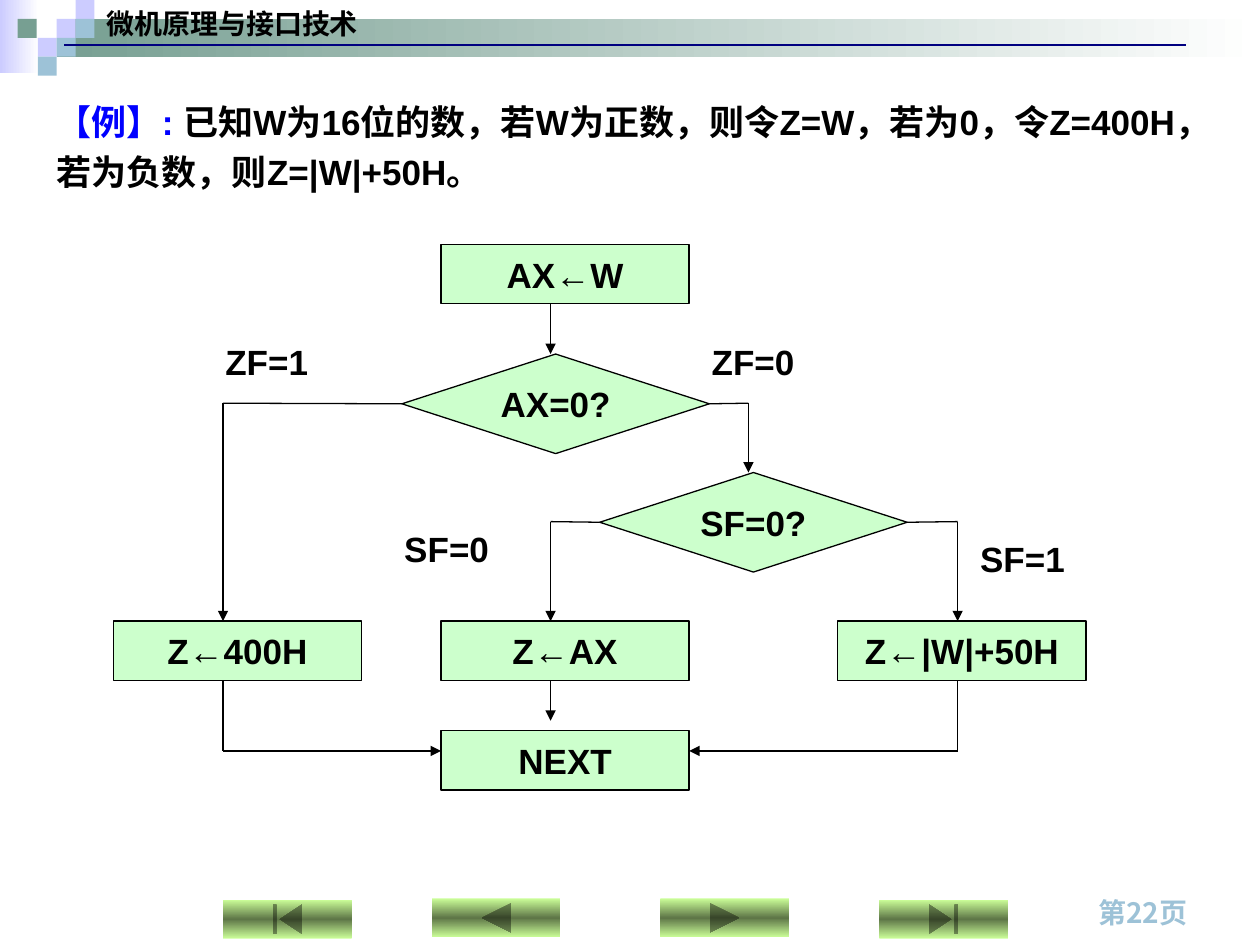
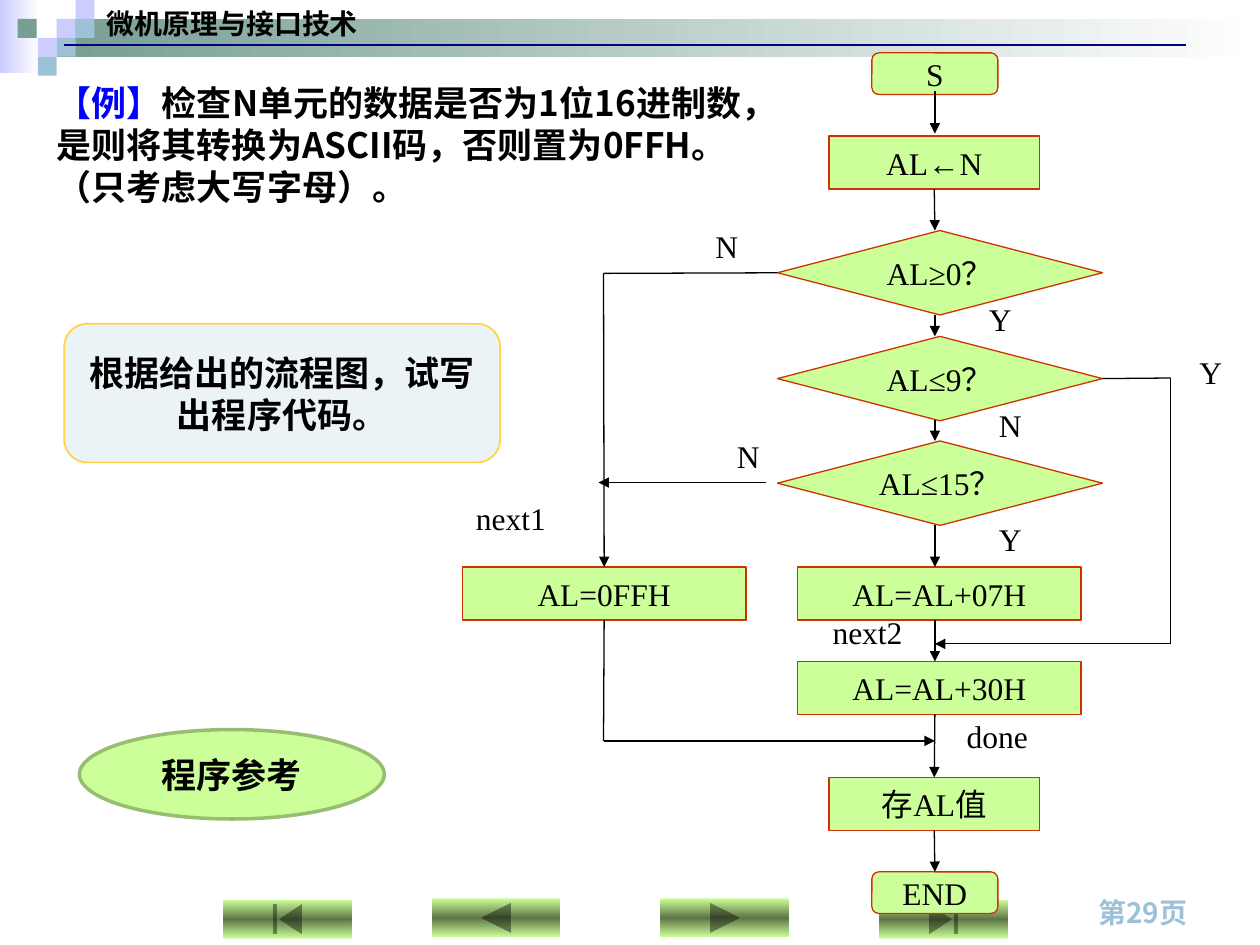
import dataclasses
import typing

import lxml.etree
import pptx
import pptx.dml.color
import pptx.enum.shapes
import pptx.enum.text
import pptx.oxml.ns
import pptx.util

Inches = pptx.util.Inches
qn = pptx.oxml.ns.qn
KIND = pptx.enum.shapes.MSO_SHAPE
ALIGN = pptx.enum.text.PP_ALIGN
ANCHOR = pptx.enum.text.MSO_ANCHOR
Point = tuple[float, float]
Place = tuple[float, float, float, float]


# Theme: colours, fonts and type sizes
@dataclasses.dataclass(frozen=True)
class Theme:
    black: str = "000000"
    white: str = "FFFFFF"
    blue: str = "0000FF"
    navy: str = "000080"
    lilac: str = "CCCCFF"
    sage: str = "779F92"
    sky: str = "9DC2D7"
    mint: str = "CCFFCC"
    lime: str = "CCFF99"
    moss: str = "5E7647"
    leaf: str = "97BD71"
    rust: str = "CC3300"
    pale: str = "EBF3F7"
    gold: str = "FFD247"
    sans: str = "Arial"
    serif: str = "Times New Roman"
    asian: str = "Noto Sans CJK SC"
    head: int = 16
    body: int = 20
    flow: int = 18
    thin: float = 0.75


THEME = Theme()


@dataclasses.dataclass(frozen=True)
class Type:
    font: str
    size: int
    bold: bool = True
    color: str = THEME.black


@dataclasses.dataclass(frozen=True)
class Look:
    fill: str
    line: str
    type: Type
    width: float = THEME.thin
    wrap: bool = False


@dataclasses.dataclass(frozen=True)
class Node:
    text: str
    kind: typing.Any
    place: Place


@dataclasses.dataclass(frozen=True)
class Label:
    text: str
    place: Place
    align: typing.Any = ALIGN.LEFT


@dataclasses.dataclass(frozen=True)
class Route:
    points: tuple[Point, ...]
    arrow: bool = True


BODY = Type(THEME.sans, THEME.body)
NOTE = Type(THEME.asian, THEME.body)
FLOW = Type(THEME.serif, THEME.flow, False)
MINT = Look(THEME.mint, THEME.black, BODY)
LIME = Look(THEME.lime, THEME.rust, FLOW)


# Drawing helpers
def rgb(color: str) -> pptx.dml.color.RGBColor:
    return pptx.dml.color.RGBColor.from_string(color)


def span(place: Place) -> list[int]:
    return [Inches(value) for value in place]


def style(para, kind: Type, align=ALIGN.LEFT) -> None:
    para.alignment = align
    font = para.font
    font.name, font.bold = kind.font, kind.bold
    font.size = pptx.util.Pt(kind.size)
    font.color.rgb = rgb(kind.color)
    props = para._p.pPr.find(qn("a:defRPr"))
    lxml.etree.SubElement(props, qn("a:ea")).set("typeface", THEME.asian)


def add_text(slide, label: Label, kind: Type) -> None:
    frame = slide.shapes.add_textbox(*span(label.place)).text_frame
    frame.word_wrap = True
    frame.text = label.text
    style(frame.paragraphs[0], kind, label.align)


def add_plain(slide, kind, place: Place, fill: str | None = None):
    shape = slide.shapes.add_shape(kind, *span(place))
    shape.shadow.inherit = False
    shape.line.fill.background()
    if fill:
        shape.fill.solid()
        shape.fill.fore_color.rgb = rgb(fill)
    return shape


def blend(shape, colors: list[str], angle: int) -> None:
    shape.fill.gradient()
    shape.fill.gradient_angle = angle
    stops = shape.element.spPr.find(".//" + qn("a:gsLst"))
    for stop in list(stops):
        stops.remove(stop)
    for i, color in enumerate(colors):
        stop = lxml.etree.SubElement(stops, qn("a:gs"))
        stop.set("pos", str(100000 * i // (len(colors) - 1)))
        lxml.etree.SubElement(stop, qn("a:srgbClr")).set("val", color)


def add_node(slide, node: Node, look: Look):
    shape = add_plain(slide, node.kind, node.place, look.fill)
    shape.line.color.rgb = rgb(look.line)
    shape.line.width = pptx.util.Pt(look.width)
    frame = shape.text_frame
    frame.text = node.text
    frame.word_wrap = look.wrap
    frame.vertical_anchor = ANCHOR.MIDDLE
    style(frame.paragraphs[0], look.type, ALIGN.CENTER)
    return shape


def add_line(slide, start: Point, end: Point, color: str = THEME.black,
             width: float = THEME.thin, arrow: bool = False):
    line = slide.shapes.add_connector(
        pptx.enum.shapes.MSO_CONNECTOR.STRAIGHT, *span(start + end))
    line.line.color.rgb = rgb(color)
    line.line.width = pptx.util.Pt(width)
    props = line.element.spPr
    if arrow:
        tail = lxml.etree.SubElement(props.find(qn("a:ln")), qn("a:tailEnd"))
        tail.set("type", "triangle")
    lxml.etree.SubElement(props, qn("a:effectLst"))
    return line


def join(link: typing.Callable, point: Point, nodes, shapes) -> None:
    """Join a line end to the node whose side has its middle there."""
    for node, shape in zip(nodes, shapes):
        x, y, w, h = node.place
        sides = ((x + w / 2, y), (x, y + h / 2),
                 (x + w / 2, y + h), (x + w, y + h / 2))
        for site, (sx, sy) in enumerate(sides):
            if max(abs(sx - point[0]), abs(sy - point[1])) < 0.015:
                link(shape, site)
                return


def add_flow(slide, nodes: list[Node], routes: list[Route],
             labels: list[Label], look: Look) -> None:
    shapes = [add_node(slide, node, look) for node in nodes]
    for route in routes:
        last = len(route.points) - 2
        for i, (start, end) in enumerate(zip(route.points, route.points[1:])):
            line = add_line(slide, start, end, arrow=route.arrow and i == last)
            join(line.begin_connect, start, nodes, shapes)
            join(line.end_connect, end, nodes, shapes)
    for label in labels:
        add_text(slide, label, look.type)


# Shared frame: bands, tiles, header, buttons, page number and title
TILES = [(0.45, 0.15, THEME.lilac), (0.6, 0, THEME.lilac),
         (0.6, 0.15, THEME.sky), (0.3, 0.3, THEME.lilac),
         (0.14, 0.15, THEME.sage), (0.45, 0.3, THEME.sky),
         (0.3, 0.45, THEME.sky)]
KEYS = [(KIND.ACTION_BUTTON_BEGINNING, 1.77, 7.14),
        (KIND.ACTION_BUTTON_BACK_OR_PREVIOUS, 3.43, 7.13),
        (KIND.ACTION_BUTTON_FORWARD_OR_NEXT, 5.24, 7.13),
        (KIND.ACTION_BUTTON_END, 6.98, 7.14)]


def add_frame(deck, page: int, place: Place, lead: str, rest: str,
              kind: Type, pitch: float = 1.0):
    slide = deck.slides.add_slide(deck.slide_layouts[5])
    for spot, color in (((0, 0, 0.31, 0.58), THEME.lilac),
                        ((0.45, 0.15, 9.55, 0.3), THEME.sage)):
        blend(add_plain(slide, KIND.RECTANGLE, spot), [color, THEME.white], 0)
    for x, y, color in TILES:
        add_plain(slide, KIND.RECTANGLE, (x, y, 0.15, 0.15), color)
    add_text(slide, Label(f"第{page}页", (8.62, 7.06, 1.26, 0.37)),
             Type(THEME.asian, THEME.head, color=THEME.sky))
    add_text(slide, Label("微机原理与接口技术", (0.75, 0, 8.66, 0.37)),
             Type(THEME.asian, THEME.head))
    add_line(slide, (0.51, 0.36), (9.41, 0.36), THEME.navy, 1.25)
    for key, x, y in KEYS:
        blend(add_plain(slide, key, (x, y, 1.02, 0.31)),
              [THEME.lime, THEME.moss, THEME.lime], 90)

    title = slide.shapes.title
    title.left, title.top, title.width, title.height = span(place)
    frame = title.text_frame
    frame.auto_size = pptx.enum.text.MSO_AUTO_SIZE.NONE
    frame.word_wrap = True
    frame.vertical_anchor = ANCHOR.TOP
    para = frame.paragraphs[0]
    para.line_spacing = pitch
    style(para, kind)
    for text, color in ((lead, THEME.blue), (rest, THEME.black)):
        run = para.add_run()
        run.text = text
        run.font.color.rgb = rgb(color)
    return slide


# Slide 1: three-way branch on the sign of W
def add_sign(deck) -> None:
    slide = add_frame(
        deck, 22, (0.35, 0.68, 9.53, 0.9), "【例】: ",
        "已知W为16位的数，若W为正数，则令Z=W，若为0，令Z=400H，"
        "若为负数，则Z=|W|+50H。", BODY, 1.2)
    steps = [("AX←W", 3.5, 1.94), ("Z←400H", 0.9, 4.93), ("Z←AX", 3.5, 4.93),
             ("Z←|W|+50H", 6.65, 4.93), ("NEXT", 3.5, 5.8)]
    tests = [("AX=0?", 3.19, 2.81), ("SF=0?", 4.76, 3.75)]
    nodes = [Node(t, KIND.RECTANGLE, (x, y, 1.97, 0.47)) for t, x, y in steps]
    nodes += [Node(t, KIND.DIAMOND, (x, y, 2.44, 0.79)) for t, x, y in tests]
    left, mid, right = 1.77, 4.37, 7.6
    routes = [Route(points) for points in (
        ((mid, 2.41), (mid, 2.81)),
        ((mid, 5.4), (mid, 5.72)),
        ((right, 5.4), (right, 5.96), (5.47, 5.96)),
        ((left, 5.4), (left, 5.96), (3.5, 5.96)),
        ((5.63, 3.2), (5.94, 3.2), (5.94, 3.75)),
        ((7.2, 4.14), (right, 4.14), (right, 4.93)),
        ((4.76, 4.14), (mid, 4.14), (mid, 4.93)),
        ((3.19, 3.2), (left, 3.2), (left, 4.93)))]
    flags = [("ZF=1", 1.69, 2.65), ("ZF=0", 5.55, 2.65),
             ("SF=0", 3.11, 4.14), ("SF=1", 7.68, 4.22)]
    labels = [Label(t, (x, y, 1.18, 0.43)) for t, x, y in flags]
    add_flow(slide, nodes, routes, labels, MINT)


# Slide 2: hex digit to ASCII
def add_hex(deck) -> None:
    slide = add_frame(
        deck, 29, (0.35, 0.6, 5.65, 1.1), "【例】",
        "检查N单元的数据是否为1位16进制数，是则将其转换为ASCII码，"
        "否则置为0FFH。（只考虑大写字母）。", NOTE)
    ends = [("S", 0.42), ("END", 6.92)]
    steps = [("AL←N", 6.58, 1.08, 1.67), ("存AL值", 6.58, 6.17, 1.67),
             ("AL=AL+07H", 6.33, 4.5, 2.25), ("AL=AL+30H", 6.33, 5.25, 2.25),
             ("AL=0FFH", 3.67, 4.5, 2.25)]
    tests = [("AL≥0？", 1.83), ("AL≤9？", 2.67), ("AL≤15？", 3.5)]
    nodes = [Node(t, KIND.FLOWCHART_ALTERNATE_PROCESS, (6.92, y, 1, 0.33))
             for t, y in ends]
    nodes += [Node(t, KIND.RECTANGLE, (x, y, w, 0.42)) for t, x, y, w in steps]
    nodes += [Node(t, KIND.FLOWCHART_DECISION, (6.17, y, 2.58, 0.67))
              for t, y in tests]
    left, main, right = 4.79, 7.42, 9.29
    drops = [(0.72, 1.06), (1.5, 1.83), (2.5, 2.67), (3.33, 3.5),
             (4.17, 4.5), (4.92, 5.25), (5.67, 6.17), (6.58, 6.92)]
    routes = [Route(((main, top), (main, base))) for top, base in drops]
    routes += [Route(points) for points in (
        ((6.17, 2.17), (left, 2.17), (left, 4.5)),
        ((6.08, 3.83), (4.75, 3.83)),
        ((8.75, 3), (right, 3), (right, 5.11), (main, 5.11)),
        ((left, 4.92), (left, 5.88), (main, 5.88)))]
    signs = [("N", 5.58, 1.75), ("Y", 7.75, 2.33), ("Y", 9.42, 2.75),
             ("N", 7.83, 3.17), ("N", 5.75, 3.42), ("Y", 7.83, 4.08)]
    marks = [("next1", 3.11, 3.91), ("next2", 5.94, 4.82),
             ("done", 6.97, 5.64)]
    labels = [Label(t, (x, y, 0.58, 0.5)) for t, x, y in signs]
    labels += [Label(t, (x, y, 1.89, 0.5), ALIGN.CENTER) for t, x, y in marks]
    add_flow(slide, nodes, routes, labels, LIME)

    # Task and answer panels
    add_node(slide, Node("根据给出的流程图，试写出程序代码。",
                         KIND.ROUNDED_RECTANGLE, (0.51, 2.57, 3.46, 1.1)),
             Look(THEME.pale, THEME.gold, NOTE, 1, True))
    add_node(slide, Node("程序参考", KIND.OVAL, (0.63, 5.79, 2.42, 0.71)),
             Look(THEME.lime, THEME.leaf, NOTE, 2, True))


def main() -> None:
    deck = pptx.Presentation()
    deck.slide_width, deck.slide_height = Inches(10), Inches(7.5)
    add_sign(deck)
    add_hex(deck)
    deck.save("out.pptx")


if __name__ == "__main__":
    main()
